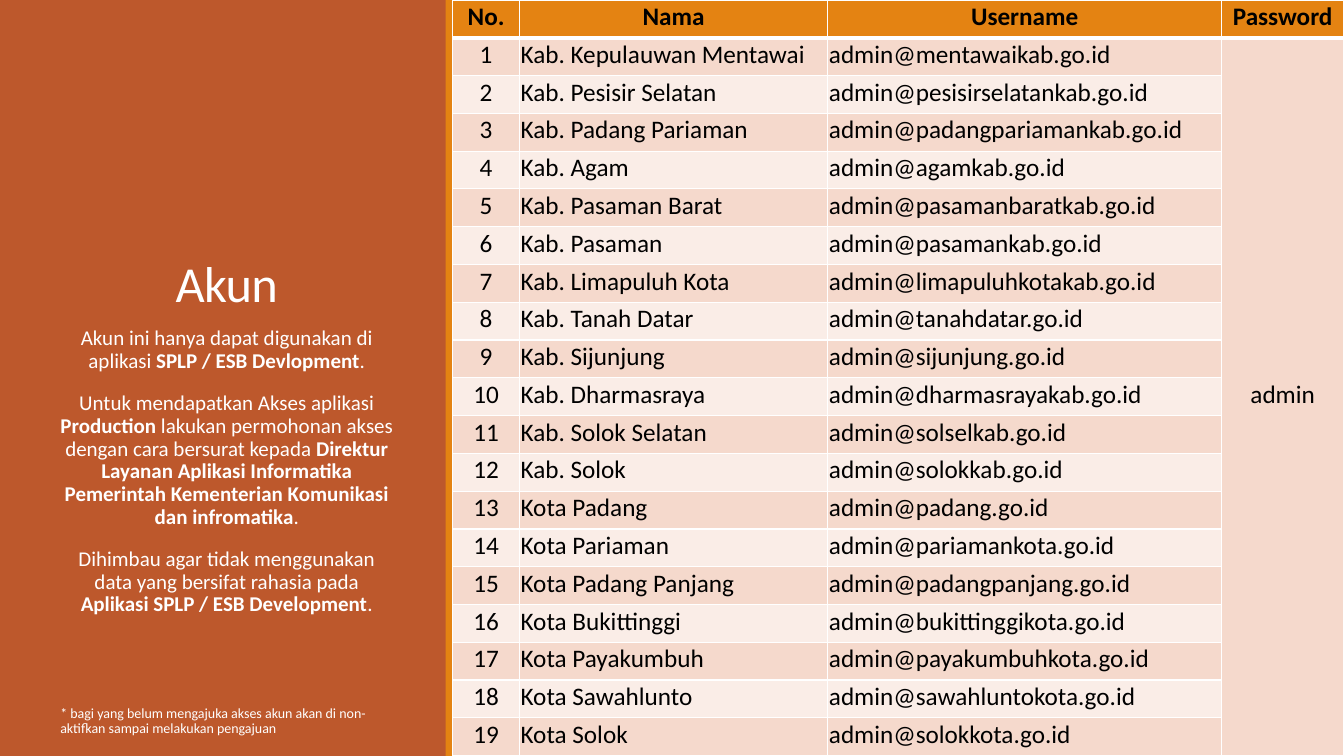
from lxml.etree import SubElement
from pptx import Presentation
from pptx.dml.color import RGBColor
from pptx.enum.shapes import MSO_SHAPE
from pptx.enum.text import MSO_ANCHOR, PP_ALIGN
from pptx.oxml.ns import qn
from pptx.util import Cm, Pt

RUST = RGBColor(0xBD, 0x58, 0x2C)
ORANGE = RGBColor(0xE4, 0x83, 0x12)
PEACH = RGBColor(0xF5, 0xD9, 0xCC)
CREAM = RGBColor(0xFA, 0xED, 0xE7)
WHITE = RGBColor(0xFF, 0xFF, 0xFF)
BLACK = RGBColor(0, 0, 0)
FONT = "Calibri"
HEIGHT = 19.05
HEADS = ["No.", "Nama", "Username", "Password"]
WIDTHS = [1.68, 7.77, 9.93, 3.07]
USERS = [
    ("Kab. Kepulauwan Mentawai", "mentawaikab"),
    ("Kab. Pesisir Selatan", "pesisirselatankab"),
    ("Kab. Padang Pariaman", "padangpariamankab"),
    ("Kab. Agam", "agamkab"),
    ("Kab. Pasaman Barat", "pasamanbaratkab"),
    ("Kab. Pasaman", "pasamankab"),
    ("Kab. Limapuluh Kota", "limapuluhkotakab"),
    ("Kab. Tanah Datar", "tanahdatar"),
    ("Kab. Sijunjung", "sijunjung"),
    ("Kab. Dharmasraya", "dharmasrayakab"),
    ("Kab. Solok Selatan", "solselkab"),
    ("Kab. Solok", "solokkab"),
    ("Kota Padang", "padang"),
    ("Kota Pariaman", "pariamankota"),
    ("Kota Padang Panjang", "padangpanjang"),
    ("Kota Bukittinggi", "bukittinggikota"),
    ("Kota Payakumbuh", "payakumbuhkota"),
    ("Kota Sawahlunto", "sawahluntokota"),
    ("Kota Solok", "solokkota"),
]
NOTES = [
    "Akun ini hanya dapat digunakan di aplikasi |SPLP / ESB Devlopment|.",
    "Untuk mendapatkan Akses aplikasi |Production |lakukan permohonan akses "
    "dengan cara bersurat kepada |Direktur Layanan Aplikasi Informatika "
    "Pemerintah Kementerian Komunikasi dan infromatika|.",
    "Dihimbau agar tidak menggunakan data yang bersifat rahasia pada "
    "|Aplikasi SPLP / ESB Development|.",
]
FOOT = ("* bagi yang belum mengajuka akses akun akan di non-aktifkan "
        "sampai melakukan pengajuan")


def add_bar(slide, left, width, color):
    """Add a full-height bar."""
    bar = slide.shapes.add_shape(
        MSO_SHAPE.RECTANGLE, Cm(left), 0, Cm(width), Cm(HEIGHT))
    bar.shadow.inherit = False
    bar.fill.solid()
    bar.fill.fore_color.rgb = color
    bar.line.fill.background()


def add_box(slide, top, height, anchor):
    """Add a wrapping text box on the left panel and return its frame."""
    box = slide.shapes.add_textbox(Cm(1.27), Cm(top), Cm(8.89), Cm(height))
    frame = box.text_frame
    frame.word_wrap = True
    frame.vertical_anchor = anchor
    return frame


def set_text(para, text, size, color, align=PP_ALIGN.CENTER):
    """Fill a paragraph, with text between bars in bold."""
    para.alignment = align
    para.font.name = FONT
    para.font.size = Pt(size)
    para.font.color.rgb = color
    for index, part in enumerate(text.split("|")):
        run = para.add_run()
        run.text = part
        if index % 2:
            run.font.bold = True


def add_title(slide):
    """Add the slightly condensed title."""
    para = add_box(slide, 1.65, 6.35, MSO_ANCHOR.BOTTOM).paragraphs[0]
    set_text(para, "Akun", 36, WHITE)
    para.line_spacing = 0.85
    para.runs[0]._r.get_or_add_rPr().set("spc", "-50")


def add_notes(slide):
    """Add the account notes and the footnote."""
    frame = add_box(slide, 8.13, 10.92, MSO_ANCHOR.TOP)
    for index, text in enumerate(NOTES + [FOOT]):
        para = frame.add_paragraph() if index else frame.paragraphs[0]
        if text == FOOT:
            set_text(para, text, 10, WHITE, PP_ALIGN.LEFT)
        else:
            set_text(para, text, 15, WHITE)
        para.line_spacing = 0.9
        para.space_before = Pt(62 if text == FOOT else 12)
        para.space_after = Pt(2)


def set_edge(cell, side, width):
    """Draw one white cell border."""
    edge = SubElement(cell._tc.get_or_add_tcPr(), qn("a:ln" + side),
                      w=str(Pt(width)))
    fill = SubElement(edge, qn("a:solidFill"))
    SubElement(fill, qn("a:srgbClr"), val=str(WHITE))


def set_cell(cell, row, col, text):
    """Style one table cell and write its text."""
    thick = {(0, "B"), (1, "T")}
    for side in "LRTB":
        set_edge(cell, side, 3 if (row, side) in thick else 1)
    cell.fill.solid()
    cell.fill.fore_color.rgb = (
        ORANGE if row == 0 else PEACH if row % 2 else CREAM)
    cell.margin_left = cell.margin_right = cell.margin_top = Cm(0.03)
    cell.margin_bottom = Cm(0.13)
    cell.vertical_anchor = MSO_ANCHOR.MIDDLE
    if text:
        para = cell.text_frame.paragraphs[0]
        left = row > 0 and col in (1, 2)
        set_text(para, text, 18, BLACK,
                 PP_ALIGN.LEFT if left else PP_ALIGN.CENTER)
        para.font.bold = row == 0


def add_users(slide):
    """Add the table of accounts with one shared password cell."""
    rows = [HEADS]
    for num, (name, host) in enumerate(USERS, 1):
        word = "admin" if num == 1 else ""
        rows.append([str(num), name, f"admin@{host}.go.id", word])
    table = slide.shapes.add_table(
        len(rows), len(HEADS), Cm(11.41), 0,
        Cm(sum(WIDTHS)), Cm(HEIGHT)).table
    for col, width in enumerate(WIDTHS):
        table.columns[col].width = Cm(width)
    for row, texts in enumerate(rows):
        table.rows[row].height = Cm(HEIGHT / len(rows))
        for col, text in enumerate(texts):
            set_cell(table.cell(row, col), row, col, text)
    table.cell(1, 3).merge(table.cell(len(USERS), 3))


def main():
    """Build the account slide."""
    deck = Presentation()
    deck.slide_width = Cm(33.87)
    deck.slide_height = Cm(HEIGHT)
    slide = deck.slides.add_slide(deck.slide_layouts[6])
    add_bar(slide, 0, 11.25, RUST)
    add_bar(slide, 11.23, 0.18, ORANGE)
    add_title(slide)
    add_notes(slide)
    add_users(slide)
    deck.save("out.pptx")


if __name__ == "__main__":
    main()
